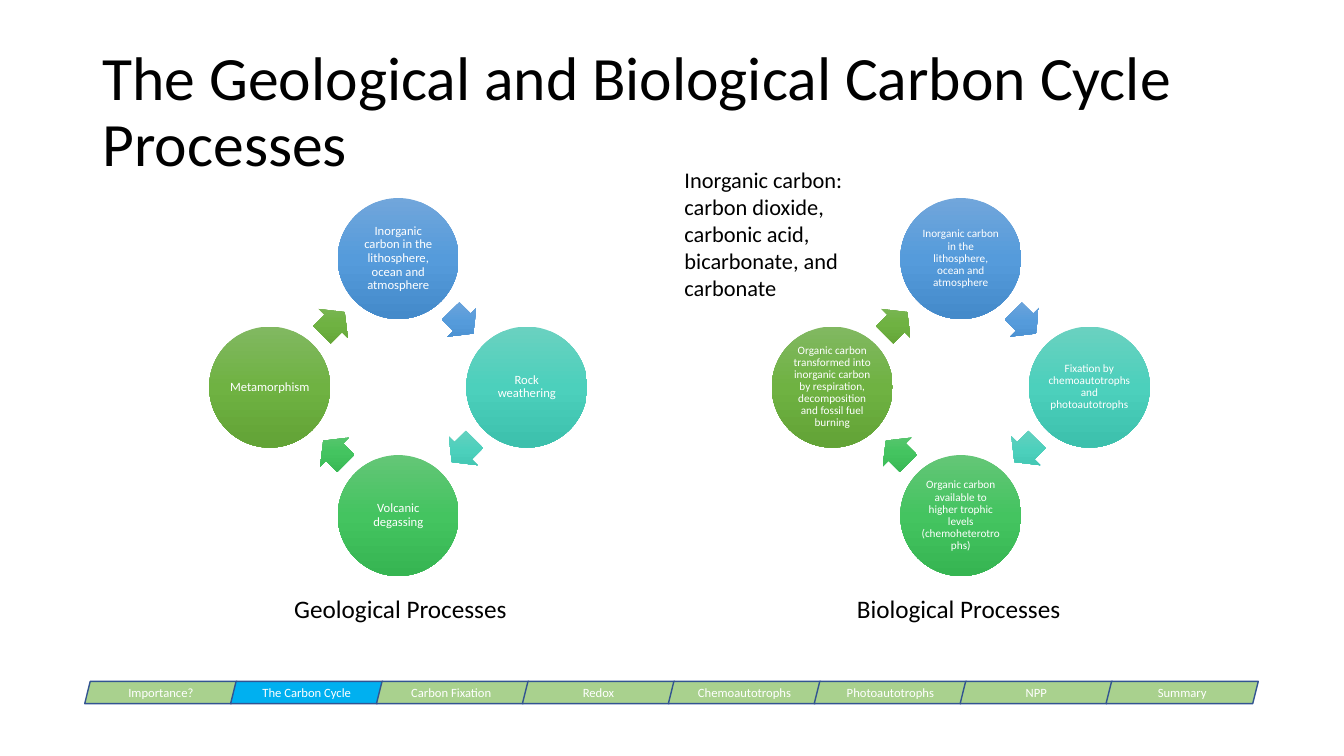
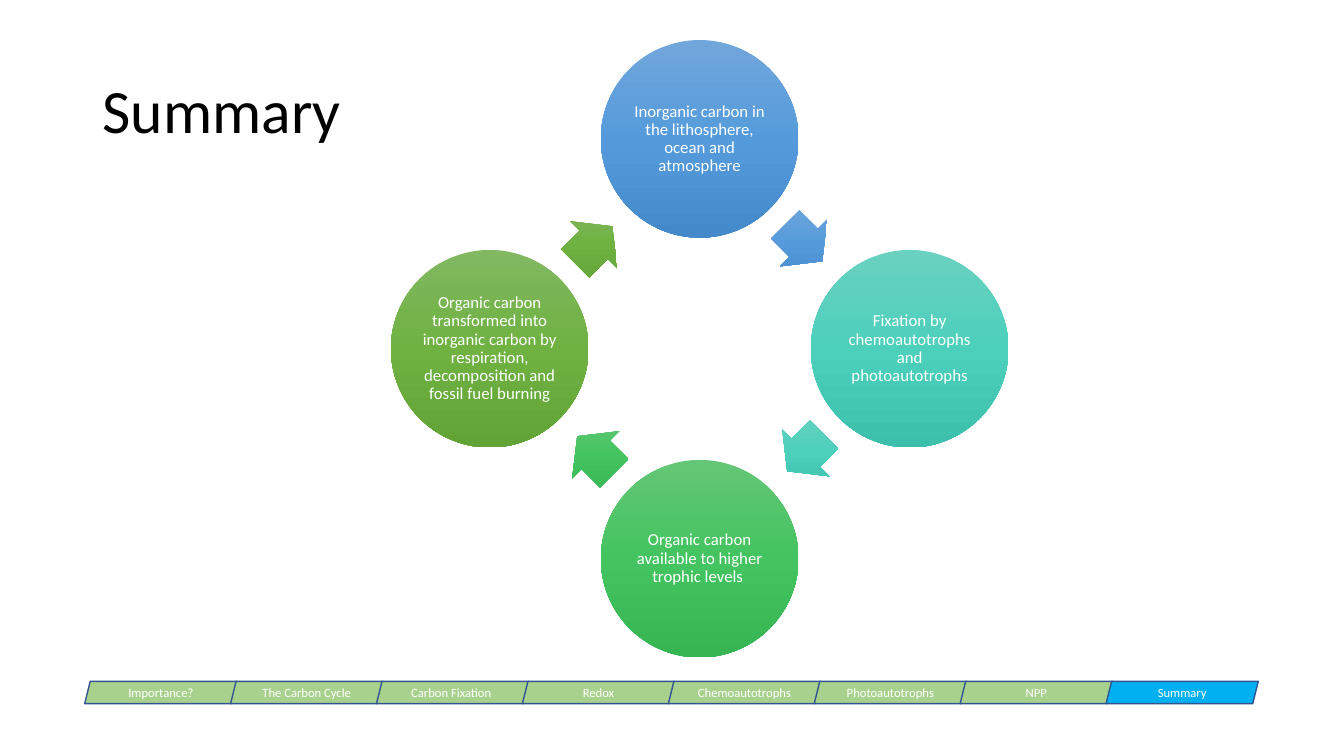
from dataclasses import dataclass
from math import cos, radians, sin

from pptx import Presentation
from pptx.dml.color import RGBColor
from pptx.enum.shapes import MSO_SHAPE as SHAPE
from pptx.enum.text import MSO_ANCHOR as ANCHOR, PP_ALIGN as ALIGN
from pptx.oxml import parse_xml
from pptx.oxml.ns import nsdecls, qn
from pptx.util import Inches, Pt


@dataclass(frozen=True)
class Theme:
    """Colours, font and type sizes of the deck."""
    font: str = "Calibri"
    ink: str = "000000"
    paper: str = "FFFFFF"
    tab: str = "A9D18E"
    active_tab: str = "00B0F0"
    tab_line: str = "325491"
    gradients: tuple = (
        ("71A6DB", "559BDB", "448ACA"),
        ("6AD1C0", "4CD0BC", "3CC0AC"),
        ("64C677", "44C460", "36B552"),
        ("81B861", "6FB242", "62A336"),
    )
    title: int = 44
    caption: int = 18
    note: int = 16
    tab_size: int = 9


T = Theme()
SECTIONS = ["Importance?", "The Carbon Cycle", "Carbon Fixation ", "Redox",
            "Chemoautotrophs", "Photoautotrophs", "NPP", "Summary"]
INORGANIC = "Inorganic carbon in the lithosphere, ocean and atmosphere"
FIXATION = "Fixation by chemoautotrophs and photoautotrophs"
AVAILABLE = "Organic carbon available to higher trophic levels "
RELEASE = ("Organic carbon transformed into inorganic carbon by respiration, "
           "decomposition and fossil fuel burning")


def write(s, text, size, color, align=ALIGN.LEFT, spacing=1.0):
    """Put one styled run into a shape."""
    tf = s.text_frame
    tf.word_wrap = True
    p = tf.paragraphs[0]
    p.alignment = align
    p.line_spacing = spacing
    r = p.add_run()
    r.text = text
    r.font.name = T.font
    r.font.size = Pt(size)
    r.font.color.rgb = RGBColor.from_string(color)
    return tf


def add_text(slide, box, text, size, spacing=1.0, anchor=ANCHOR.TOP):
    """Add a text box in the ink colour."""
    s = slide.shapes.add_textbox(*map(Inches, box))
    write(s, text, size, T.ink, spacing=spacing).vertical_anchor = anchor


def add_centred(shapes, kind, x, y, w, h):
    """Add a shape without shadow around a centre point."""
    s = shapes.add_shape(kind, Inches(x - w / 2), Inches(y - h / 2), Inches(w), Inches(h))
    s.shadow.inherit = False
    return s


def shade(s, colors):
    """Fill a shape with a three-stop downward gradient and no outline."""
    stops = "".join(f'<a:gs pos="{i * 50000}"><a:srgbClr val="{c}"/></a:gs>'
                    for i, c in enumerate(colors))
    s.line.fill.background()
    s.fill.background()
    props = s._element.spPr
    props.replace(props.find(qn("a:noFill")), parse_xml(
        f'<a:gradFill {nsdecls("a")} rotWithShape="0"><a:gsLst>{stops}</a:gsLst>'
        '<a:lin ang="5400000" scaled="0"/></a:gradFill>'))


def add_cycle(slide, x, y, diameter, size, labels):
    """Add four circles around a centre, linked clockwise by arrows."""
    shapes = slide.shapes.add_group_shape().shapes
    radius = 1.0625 * diameter
    reach = radius / 2 ** 0.5
    lag = 0.007 * diameter
    for i, (label, colors) in enumerate(zip(labels, T.gradients)):
        turn = radians(90 * i)
        s = add_centred(shapes, SHAPE.OVAL, x + radius * sin(turn), y - radius * cos(turn),
                        diameter, diameter)
        shade(s, colors)
        tf = write(s, label, size, T.paper, ALIGN.CENTER, 0.9)
        tf.vertical_anchor = ANCHOR.MIDDLE
        tf.margin_left = tf.margin_right = tf.margin_top = tf.margin_bottom = Inches(0.01)

        heading = 45 + 90 * i
        turn = radians(heading)
        s = add_centred(shapes, SHAPE.RIGHT_ARROW,
                        x + reach * sin(turn) - lag * cos(turn),
                        y - reach * cos(turn) - lag * sin(turn),
                        0.265 * diameter, 0.337 * diameter)
        s.adjustments[0], s.adjustments[1] = 0.6, 0.5
        s.rotation = heading
        shade(s, colors)


def add_nav(slide, active):
    """Add the section bar with the active section highlighted."""
    first, last, width = 0.84, 10.97, 1.51
    pitch = (last - first) / (len(SECTIONS) - 1)
    for i, name in enumerate(SECTIONS):
        s = add_centred(slide.shapes, SHAPE.PARALLELOGRAM,
                        first + i * pitch + width / 2, 6.87, width, 0.22)
        s.fill.solid()
        s.fill.fore_color.rgb = RGBColor.from_string(T.active_tab if name == active else T.tab)
        s.line.color.rgb = RGBColor.from_string(T.tab_line)
        s.line.width = Pt(1)
        write(s, name, T.tab_size, T.paper, ALIGN.CENTER).vertical_anchor = ANCHOR.MIDDLE


def add_slide(prs, title, section):
    """Add a blank slide with its title and section bar."""
    slide = prs.slides.add_slide(prs.slide_layouts[6])
    add_text(slide, (0.92, 0.4, 11.5, 1.45), title, T.title, 0.9, ANCHOR.MIDDLE)
    add_nav(slide, section)
    return slide


def main():
    """Build and save the deck."""
    prs = Presentation()
    prs.slide_width, prs.slide_height = Inches(13.33), Inches(7.5)

    slide = add_slide(prs, "The Geological and Biological Carbon Cycle Processes",
                      "The Carbon Cycle")
    add_cycle(slide, 9.53, 3.84, 1.2, 8,
              [INORGANIC, FIXATION, AVAILABLE + "(chemoheterotrophs)", RELEASE])
    add_cycle(slide, 3.95, 3.84, 1.2, 9,
              [INORGANIC, "Rock weathering", "Volcanic degassing", "Metamorphism"])
    for x, name in ((2.82, "Geological"), (8.4, "Biological")):
        add_text(slide, (x, 5.84, 2.37, 0.4), f"{name} Processes", T.caption)
    add_text(slide, (6.69, 1.6, 1.9, 1.45),
             "Inorganic carbon: carbon dioxide, carbonic acid, bicarbonate, and carbonate",
             T.note)

    slide = add_slide(prs, "Summary", "Summary")
    add_cycle(slide, 6.94, 3.46, 1.96, 12, [INORGANIC, FIXATION, AVAILABLE, RELEASE])

    prs.save("out.pptx")


if __name__ == "__main__":
    main()
